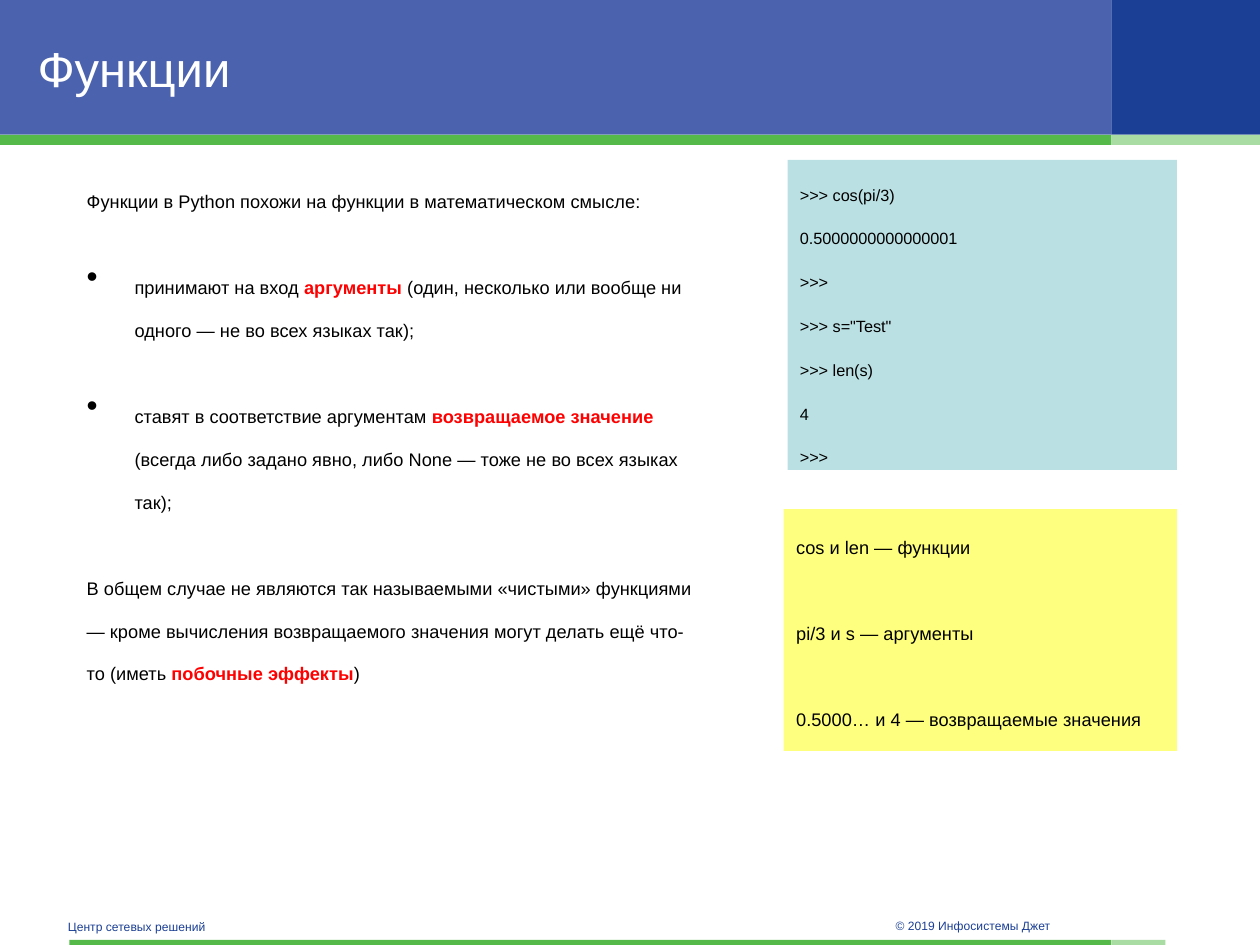
"""Build a slide that explains functions in Python."""
from lxml import etree
from pptx import Presentation
from pptx.dml.color import RGBColor
from pptx.enum.shapes import MSO_SHAPE
from pptx.enum.text import MSO_ANCHOR, PP_ALIGN
from pptx.oxml.ns import qn
from pptx.util import Inches, Pt

RECT = MSO_SHAPE.RECTANGLE
TOP, MID = MSO_ANCHOR.TOP, MSO_ANCHOR.MIDDLE
LEFT = PP_ALIGN.LEFT

WHITE = RGBColor(0xFF, 0xFF, 0xFF)
BLACK = RGBColor(0x00, 0x00, 0x00)
RED = RGBColor(0xFF, 0x00, 0x00)
BLUE = RGBColor(0x4B, 0x63, 0xAE)
NAVY = RGBColor(0x1B, 0x3F, 0x94)
GREEN = RGBColor(0x54, 0xB9, 0x48)
PALE = RGBColor(0xA9, 0xDC, 0xA3)
AQUA = RGBColor(0xBB, 0xE0, 0xE3)
YELLOW = RGBColor(0xFF, 0xFF, 0x00)

FONT = "Arial"
LOWER = "-25000"
HANG = Inches(0.38)
WIDE, HIGH = 10, 7.5
SPLIT, HEAD = 8.82, 1.07
GAP = 24.6

TITLE = ["Функции"]
BODY = [
    "Функции в Python похожи на функции в математическом смысле:",
    ("принимают на вход ", "аргументы",
     " (один, несколько или вообще ни одного — не во всех языках так);"),
    ("ставят в соответствие аргументам ", "возвращаемое значение ",
     "(всегда либо задано явно, либо None — тоже не во всех языках так);"),
    ("В общем случае не являются так называемыми «чистыми» функциями — "
     "кроме вычисления возвращаемого значения могут делать ещё что-то (иметь ",
     "побочные эффекты", ")"),
]
ITEMS = (1, 2)
CODE = [">>> cos(pi/3)", "0.5000000000000001", ">>>", '>>> s="Test"',
        ">>> len(s)", "4", ">>>"]
NOTES = ["cos и len — функции", "pi/3 и s — аргументы",
         "0.5000… и 4 — возвращаемые значения"]
UNIT = ["Центр сетевых решений"]
RIGHTS = ["© 2019 Инфосистемы Джет"]

BANDS = [
    (0, 0, SPLIT, HEAD, BLUE),
    (SPLIT, 0, WIDE - SPLIT, HEAD, NAVY),
    (0, HEAD, SPLIT, 0.08, GREEN),
    (SPLIT, HEAD, WIDE - SPLIT, 0.08, PALE),
    (0.55, 7.46, SPLIT - 0.55, 0.04, GREEN),
    (SPLIT, 7.46, 0.43, 0.04, PALE),
]


def add_box(slide, box, color):
    shape = slide.shapes.add_shape(RECT, *map(Inches, box))
    shape.shadow.inherit = False
    shape.fill.solid()
    shape.fill.fore_color.rgb = color
    shape.line.fill.background()
    return shape


def add_area(slide, box):
    return slide.shapes.add_textbox(*map(Inches, box))


def add_bullet(para):
    props = para._p.get_or_add_pPr()
    props.set("marL", str(HANG))
    props.set("indent", str(-HANG))
    etree.SubElement(props, qn("a:buFont"), typeface=FONT)
    etree.SubElement(props, qn("a:buChar"), char="•")


def write(shape, lines, size, color=BLACK, gap=0, anchor=TOP, low=True, items=()):
    frame = shape.text_frame
    frame.word_wrap = True
    frame.vertical_anchor = anchor
    for row, line in enumerate(lines):
        para = frame.add_paragraph() if row else frame.paragraphs[0]
        para.alignment = LEFT
        if row:
            para.space_before = Pt(gap)
        if row in items:
            add_bullet(para)
        para.font.name = FONT
        para.font.size = Pt(size)
        para.font.color.rgb = color
        parts = (line,) if isinstance(line, str) else line
        for spot, part in enumerate(parts):
            run = para.add_run()
            run.text = part
            if spot == 1:
                run.font.bold = True
                run.font.color.rgb = RED
            if low:
                run._r.get_or_add_rPr().set("baseline", LOWER)


def main():
    deck = Presentation()
    deck.slide_width, deck.slide_height = Inches(WIDE), Inches(HIGH)
    slide = deck.slides.add_slide(deck.slide_layouts[6])
    for *box, color in BANDS:
        add_box(slide, box, color)
    write(add_area(slide, (7.01, 7.19, 2.36, 0.2)), RIGHTS, 12, NAVY, anchor=MID)
    write(add_area(slide, (0.44, 7.18, 3.3, 0.23)), UNIT, 12, NAVY, anchor=MID)
    write(add_area(slide, (0.2, 0.14, 8.43, 0.79)), TITLE, 28, WHITE,
          anchor=MID, low=False)
    write(add_area(slide, (0.59, 1.29, 5.04, 5.55)), BODY, 18, gap=GAP, items=ITEMS)
    write(add_box(slide, (6.25, 1.27, 3.09, 2.46), AQUA), CODE, 16, gap=3.2)
    card = add_box(slide, (6.22, 4.04, 3.12, 1.92), YELLOW)
    tint = card._element.spPr.find(qn("a:solidFill"))[0]
    etree.SubElement(tint, qn("a:alpha"), val="50000")
    write(card, NOTES, 18, gap=GAP)
    deck.save("out.pptx")


if __name__ == "__main__":
    main()
